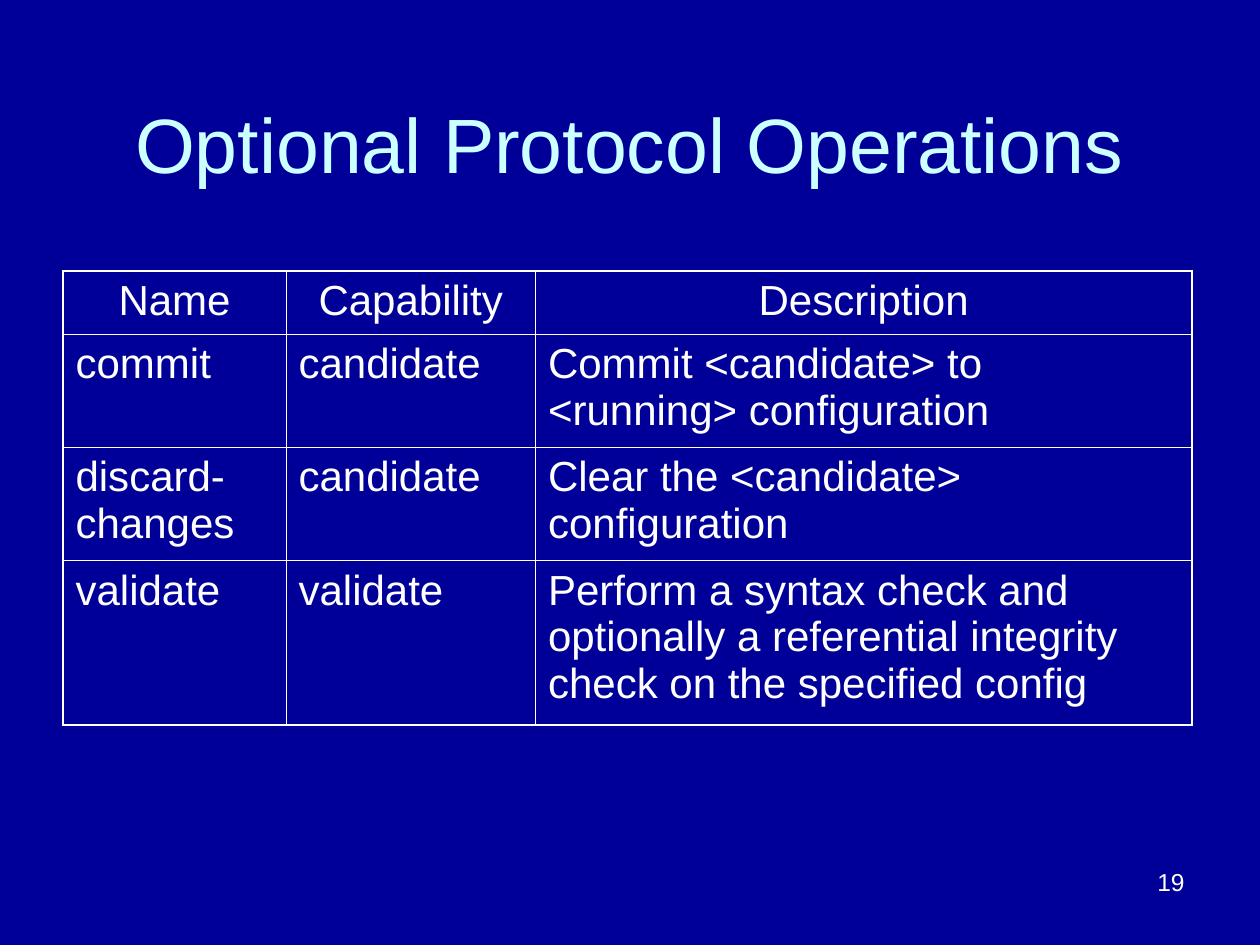
from lxml.etree import SubElement
from pptx import Presentation
from pptx.dml.color import RGBColor
from pptx.enum.text import MSO_ANCHOR as Anchor, PP_ALIGN as Align
from pptx.oxml.ns import qn
from pptx.util import Inches, Pt

COLORS = {"background": "000099", "title": "CCFFFF", "text": "FFFFFF", "border": "FFFFFF"}
FONT = "Arial"
OUTER_LINE, INNER_LINE = Pt(1.08), Pt(0.45)

COLUMN_WIDTHS = [1.77, 1.98, 5.21]
ROW_HEIGHTS = [0.5, 0.9, 0.9, 1.3]
OPERATIONS = [
    ["Name", "Capability", "Description"],
    ["commit", "candidate", "Commit <candidate> to <running> configuration"],
    ["discard-changes", "candidate", "Clear the <candidate> configuration"],
    ["validate", "validate",
     "Perform a syntax check and optionally a referential integrity check "
     "on the specified config"],
]


def color(name):
    return RGBColor.from_string(COLORS[name])


def style_paragraph(para, size, color_name, align):
    para.alignment = align
    para.font.name = FONT
    para.font.size = Pt(size)
    para.font.color.rgb = color(color_name)


def add_text(page, text, area, size, color_name, align, anchor=Anchor.TOP):
    box = page.shapes.add_textbox(*map(Inches, area))
    frame = box.text_frame
    frame.word_wrap = True
    frame.vertical_anchor = anchor
    frame.text = text
    style_paragraph(frame.paragraphs[0], size, color_name, align)


def add_border(cell, side, width):
    line = SubElement(cell._tc.get_or_add_tcPr(), qn(f"a:ln{side}"), w=str(width))
    fill = SubElement(line, qn("a:solidFill"))
    SubElement(fill, qn("a:srgbClr"), val=COLORS["border"])


def add_operations_table(page, left, top):
    last_row, last_column = len(ROW_HEIGHTS) - 1, len(COLUMN_WIDTHS) - 1
    table = page.shapes.add_table(
        len(ROW_HEIGHTS), len(COLUMN_WIDTHS), Inches(left), Inches(top),
        Inches(sum(COLUMN_WIDTHS)), Inches(sum(ROW_HEIGHTS))).table
    table.first_row = table.horz_banding = False
    for column, width in zip(table.columns, COLUMN_WIDTHS):
        column.width = Inches(width)
    for r, (row, height) in enumerate(zip(table.rows, ROW_HEIGHTS)):
        row.height = Inches(height)
        for c, cell in enumerate(row.cells):
            cell.text = OPERATIONS[r][c]
            para = cell.text_frame.paragraphs[0]
            style_paragraph(para, 24, "text", Align.LEFT if r else Align.CENTER)
            para.space_before = Pt(6)
            outer_sides = {"L": c == 0, "R": c == last_column,
                           "T": r == 0, "B": r == last_row}
            for side, is_outer in outer_sides.items():
                add_border(cell, side, OUTER_LINE if is_outer else INNER_LINE)
            cell.fill.background()


def main():
    deck = Presentation()
    deck.slide_width, deck.slide_height = Inches(10), Inches(7.5)
    page = deck.slides.add_slide(deck.slide_layouts[6])
    page.background.fill.solid()
    page.background.fill.fore_color.rgb = color("background")
    add_text(page, "Optional Protocol Operations", (0.5, 0.3, 9, 1.25), 44,
             "title", Align.CENTER, Anchor.BOTTOM)
    add_operations_table(page, 0.5, 2.15)
    add_text(page, "19", (7.17, 6.83, 2.33, 0.52), 14, "text", Align.RIGHT)
    deck.save("out.pptx")


if __name__ == "__main__":
    main()
